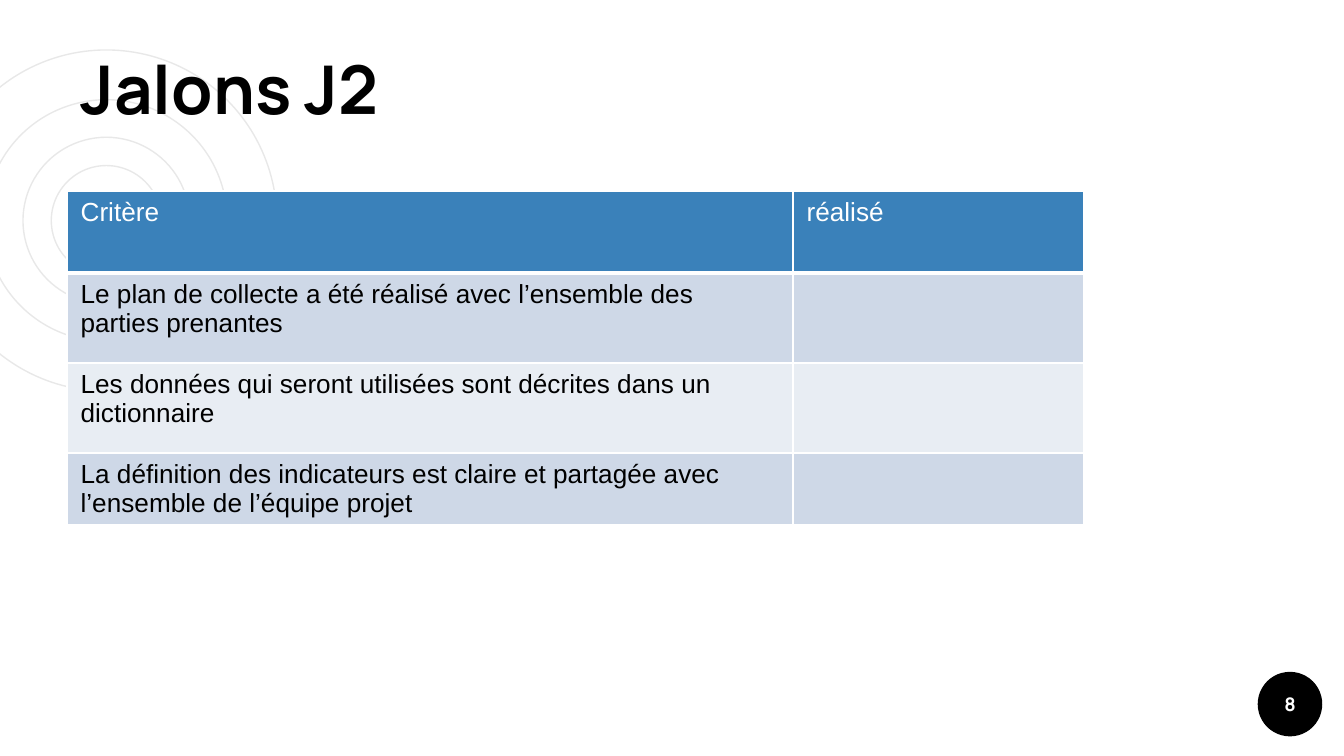
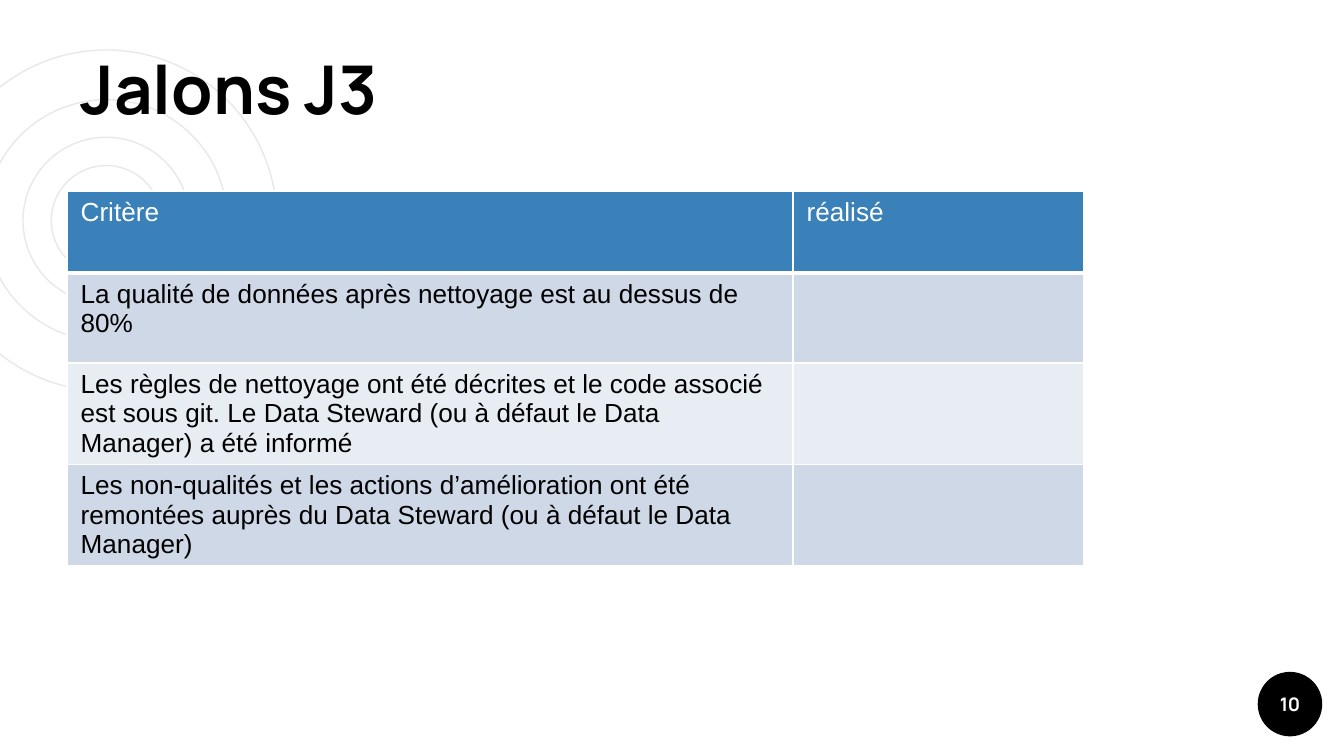
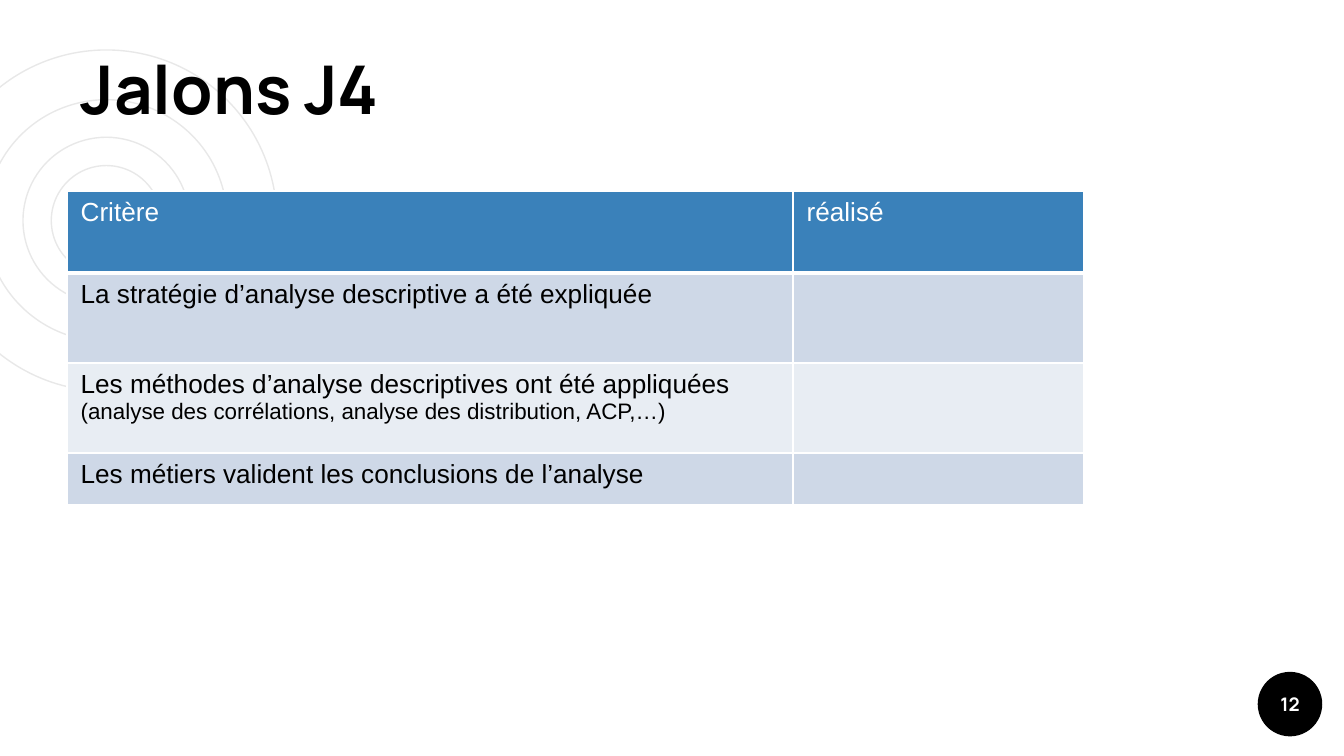
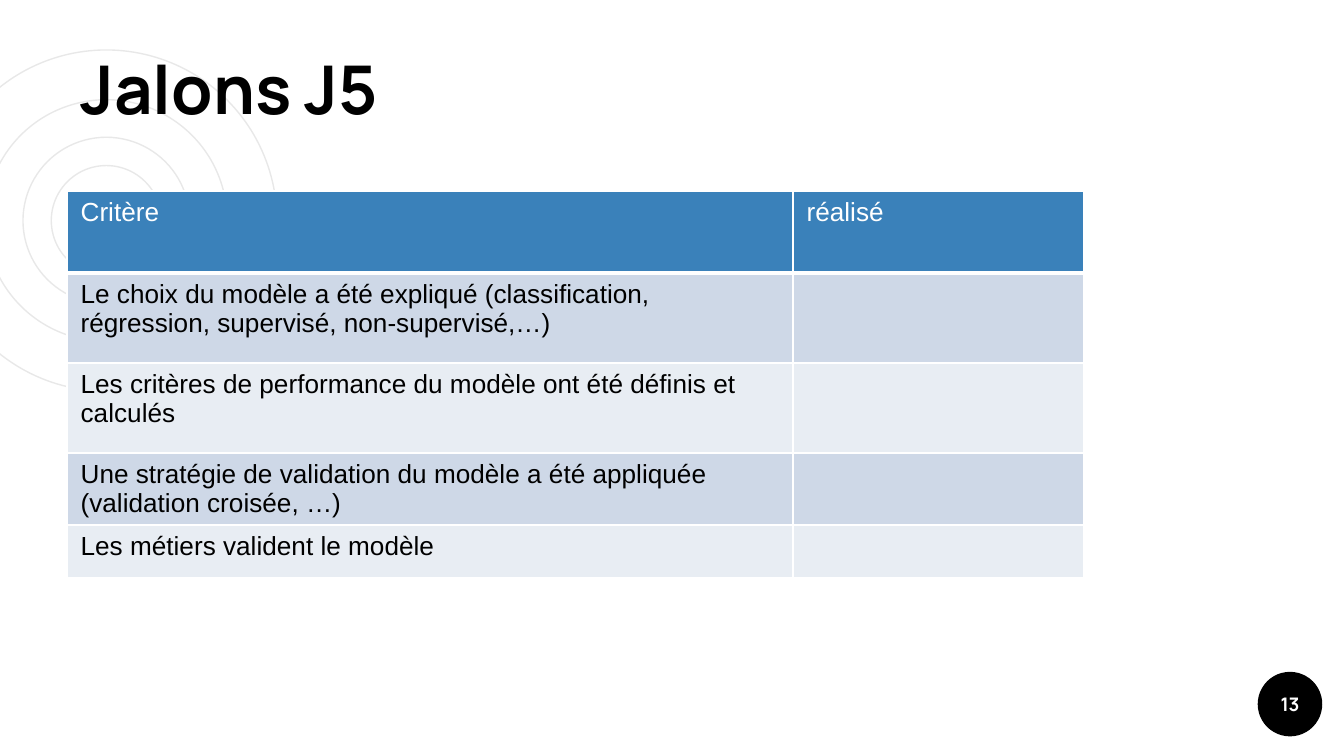
"""Build the four milestone checklist slides, J2 to J5."""
from dataclasses import dataclass

from lxml import etree
from pptx import Presentation
from pptx.dml.color import RGBColor
from pptx.enum.shapes import MSO_SHAPE
from pptx.enum.text import MSO_ANCHOR, MSO_AUTO_SIZE, PP_ALIGN
from pptx.oxml.ns import qn
from pptx.util import Cm, Pt

OVAL = MSO_SHAPE.OVAL
LEFT, CENTER = PP_ALIGN.LEFT, PP_ALIGN.CENTER
MIDDLE, BOTTOM = MSO_ANCHOR.MIDDLE, MSO_ANCHOR.BOTTOM
NO_AUTOFIT = MSO_AUTO_SIZE.NONE

BLACK = RGBColor(0x00, 0x00, 0x00)
WHITE = RGBColor(0xFF, 0xFF, 0xFF)
RING_GREY = RGBColor(0xE8, 0xE8, 0xE8)
HEADER_BLUE = RGBColor(0x3A, 0x81, 0xBA)
BAND_COLORS = (RGBColor(0xCE, 0xD8, 0xE7), RGBColor(0xE8, 0xED, 0xF3))

HEADING_FONT = "Manrope"
BODY_FONT = "Arial"

RING_CENTER = (Cm(2.01), Cm(4.17))
RING_DIAMETERS = (Cm(6.45), Cm(4.57), Cm(3.15), Cm(2.08))
BADGE_BOX = (Cm(23.77), Cm(12.7), Cm(1.22), Cm(1.22))
TITLE_BOX = (Cm(1.27), Cm(0.76), Cm(22.5), Cm(1.9))
TEXT_INSET = Cm(0.25)
TABLE_LEFT, TABLE_TOP = Cm(1.27), Cm(3.61)
COLUMN_WIDTHS = (Cm(13.72), Cm(5.49))
HEADER_HEIGHT, TALL_ROW, SHORT_ROW = Cm(1.55), Cm(1.7), Cm(0.99)
TALL_ROW_COUNT = 2
HEADERS = ("Critère", "réalisé")


@dataclass(frozen=True)
class Criterion:
    """One checklist line with an optional smaller note."""

    text: str
    note: str = ""


@dataclass(frozen=True)
class Milestone:
    """The content of one slide."""

    title: str
    number: int
    criteria: tuple[Criterion, ...]


MILESTONES = (
    Milestone("Jalons J2", 8, (
        Criterion("Le plan de collecte a été réalisé avec l’ensemble des parties prenantes"),
        Criterion("Les données qui seront utilisées sont décrites dans un dictionnaire"),
        Criterion("La définition des indicateurs est claire et partagée avec "
                  "l’ensemble de l’équipe projet"),
    )),
    Milestone("Jalons J3", 10, (
        Criterion("La qualité de données après nettoyage est au dessus de 80%"),
        Criterion("Les règles de nettoyage ont été décrites et le code associé est sous git. "
                  "Le Data Steward (ou à défaut le Data Manager) a été informé"),
        Criterion("Les non-qualités et les actions d’amélioration ont été remontées "
                  "auprès du Data Steward (ou à défaut le Data Manager)"),
    )),
    Milestone("Jalons J4", 12, (
        Criterion("La stratégie d’analyse descriptive a été expliquée"),
        Criterion("Les méthodes d’analyse descriptives ont été appliquées ",
                  "(analyse des corrélations, analyse des distribution, ACP,…)"),
        Criterion("Les métiers valident les conclusions de l’analyse"),
    )),
    Milestone("Jalons J5", 13, (
        Criterion("Le choix du modèle a été expliqué (classification, régression, "
                  "supervisé, non-supervisé,…)"),
        Criterion("Les critères de performance du modèle ont été définis et calculés"),
        Criterion("Une stratégie de validation du modèle a été appliquée "
                  "(validation croisée, …)"),
        Criterion("Les métiers valident le modèle"),
    )),
)


def place(shape, box: tuple) -> None:
    """Move and size a shape."""
    shape.left, shape.top, shape.width, shape.height = box


def style_font(font, name: str, size: float, color: RGBColor, bold: bool = False) -> None:
    """Set the typeface, size, colour and weight."""
    font.name, font.size, font.bold = name, Pt(size), bold
    font.color.rgb = color


def set_heading(shape, text: str, size: float, color: RGBColor, anchor, alignment) -> None:
    """Fill a shape with one bold line in the heading font."""
    frame = shape.text_frame
    frame.text = text
    frame.word_wrap = True
    frame.auto_size = NO_AUTOFIT
    frame.vertical_anchor = anchor
    frame.margin_left = frame.margin_right = TEXT_INSET
    frame.margin_top = frame.margin_bottom = TEXT_INSET
    paragraph = frame.paragraphs[0]
    paragraph.alignment = alignment
    style_font(paragraph.font, HEADING_FONT, size, color, bold=True)


def add_rings(slide) -> None:
    """Draw the concentric rings behind the title."""
    group = slide.shapes.add_group_shape()
    center_x, center_y = RING_CENTER
    for diameter in RING_DIAMETERS:
        ring = group.shapes.add_shape(
            OVAL, center_x - diameter // 2, center_y - diameter // 2, diameter, diameter)
        ring.shadow.inherit = False
        ring.fill.background()
        ring.line.color.rgb = RING_GREY
        ring.line.width = Pt(0.75)


def add_badge(slide, number: int) -> None:
    """Draw the slide number on its black disc."""
    disc = slide.shapes.add_shape(OVAL, *BADGE_BOX)
    disc.shadow.inherit = False
    disc.fill.solid()
    disc.fill.fore_color.rgb = BLACK
    disc.line.fill.background()
    label = slide.shapes.add_textbox(*BADGE_BOX)
    set_heading(label, str(number), 10, WHITE, MIDDLE, CENTER)


def set_borders(cell, bottom_width: float) -> None:
    """Give a cell white borders, with its own bottom width."""
    properties = cell._tc.get_or_add_tcPr()
    for side, width in (("L", 1), ("R", 1), ("T", 1), ("B", bottom_width)):
        line = etree.SubElement(properties, qn(f"a:ln{side}"), w=str(Pt(width)))
        fill = etree.SubElement(line, qn("a:solidFill"))
        etree.SubElement(fill, qn("a:srgbClr"), val=str(WHITE))


def fill_cell(cell, content: Criterion, fill: RGBColor, color: RGBColor,
              bottom_width: float = 1) -> None:
    """Write and format one table cell."""
    set_borders(cell, bottom_width)
    cell.fill.solid()
    cell.fill.fore_color.rgb = fill
    paragraph = cell.text_frame.paragraphs[0]
    style_font(paragraph.font, BODY_FONT, 14, color)
    if content.text:
        paragraph.add_run().text = content.text
    if content.note:
        note = paragraph.add_run()
        note.text = content.note
        note.font.size = Pt(12)


def add_checklist(slide, criteria: tuple[Criterion, ...]) -> None:
    """Draw the table of criteria with an empty completion column."""
    short_rows = len(criteria) - TALL_ROW_COUNT
    heights = [HEADER_HEIGHT] + [TALL_ROW] * TALL_ROW_COUNT + [SHORT_ROW] * short_rows
    table = slide.shapes.add_table(
        len(heights), len(COLUMN_WIDTHS), TABLE_LEFT, TABLE_TOP,
        sum(COLUMN_WIDTHS), sum(heights)).table
    table.horz_banding = False
    for column, width in zip(table.columns, COLUMN_WIDTHS):
        column.width = width
    for row, height in zip(table.rows, heights):
        row.height = height
    for column_index, header in enumerate(HEADERS):
        fill_cell(table.cell(0, column_index), Criterion(header), HEADER_BLUE, WHITE, 3)
    for index, criterion in enumerate(criteria):
        band = BAND_COLORS[index % len(BAND_COLORS)]
        for column_index, content in enumerate((criterion, Criterion(""))):
            fill_cell(table.cell(index + 1, column_index), content, band, BLACK)


def add_milestone_slide(presentation, milestone: Milestone) -> None:
    """Add one complete milestone slide."""
    slide = presentation.slides.add_slide(presentation.slide_layouts[5])
    title = slide.shapes.title
    add_rings(slide)
    slide.shapes._spTree.append(title._element)
    place(title, TITLE_BOX)
    set_heading(title, milestone.title, 36, BLACK, BOTTOM, LEFT)
    add_badge(slide, milestone.number)
    add_checklist(slide, milestone.criteria)


def main() -> None:
    """Build and save the presentation."""
    presentation = Presentation()
    presentation.slide_width, presentation.slide_height = Cm(25.4), Cm(14.29)
    background = presentation.slide_master.background.fill
    background.solid()
    background.fore_color.rgb = WHITE
    for milestone in MILESTONES:
        add_milestone_slide(presentation, milestone)
    presentation.save("out.pptx")


if __name__ == "__main__":
    main()
